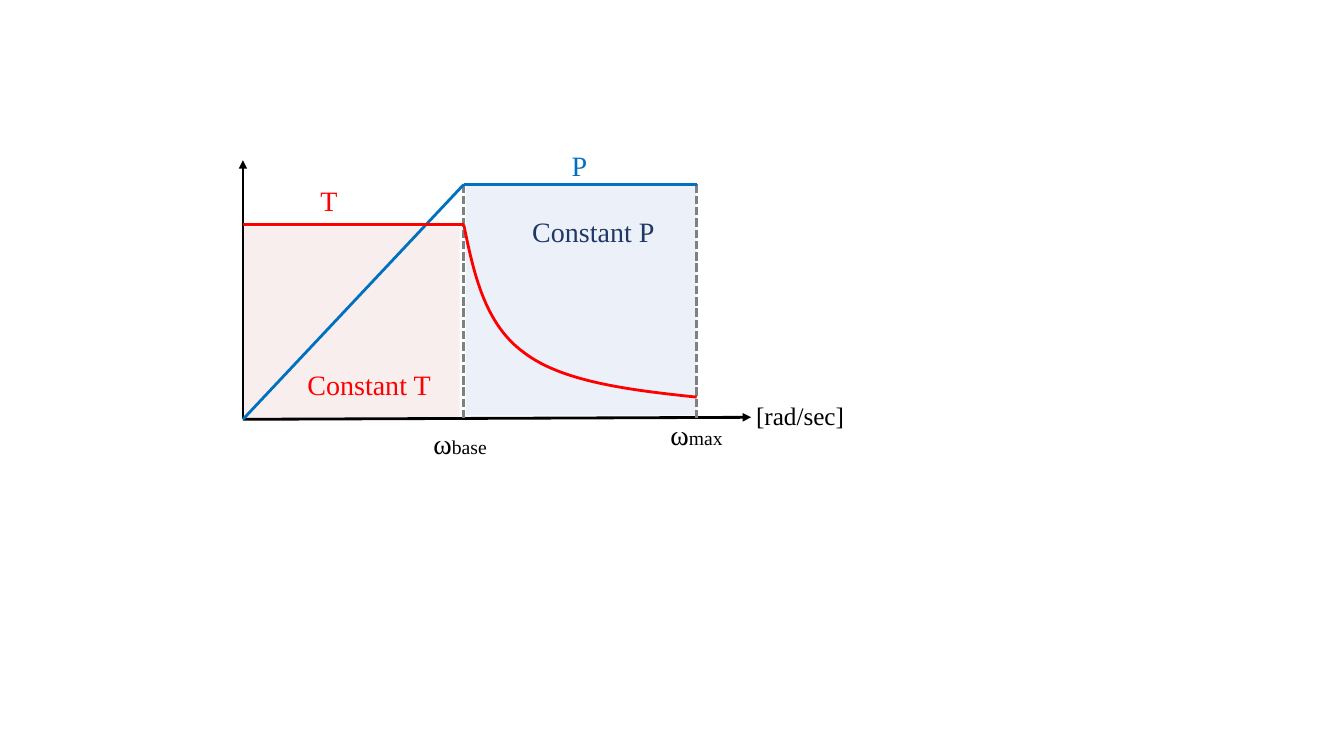
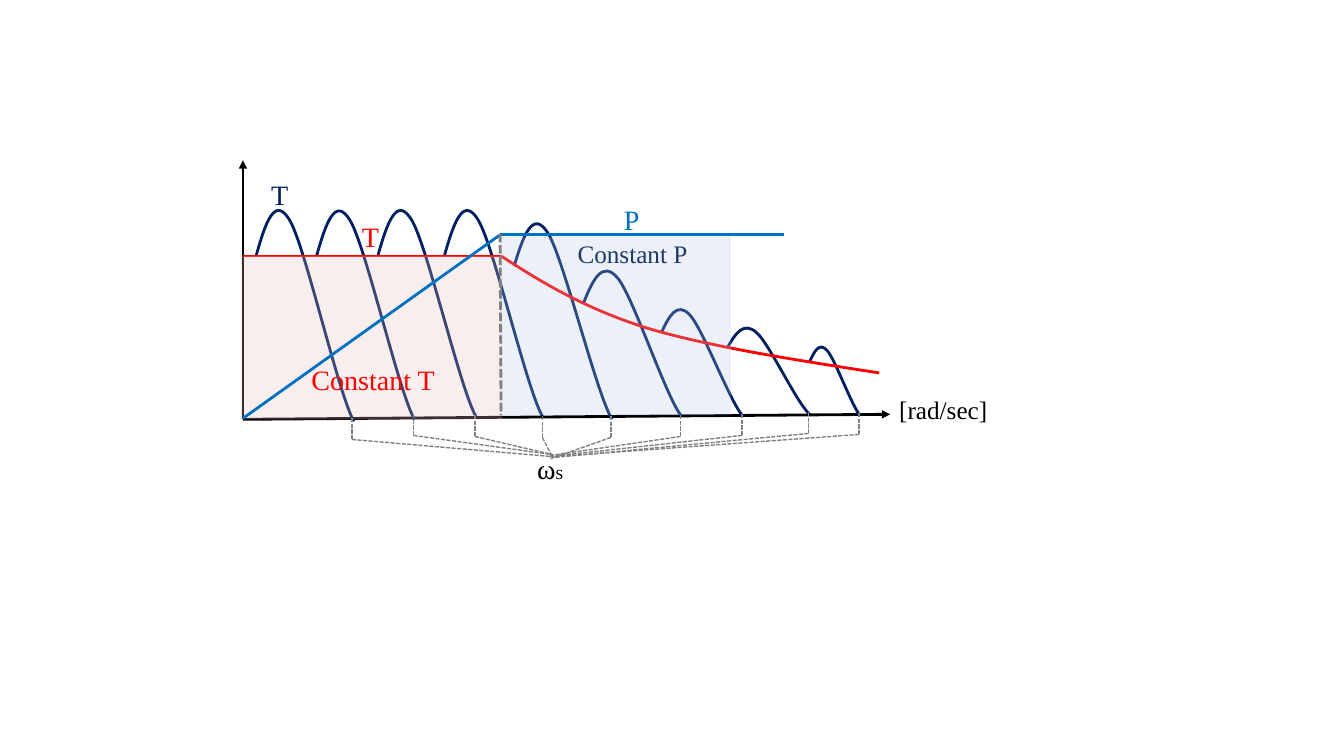
from lxml import etree
from pptx import Presentation
from pptx import util as u
from pptx.dml.color import RGBColor
from pptx.enum import dml, shapes, text
from pptx.oxml.ns import qn

COLOURS = {
    "axis": "000000", "torque": "FF0000", "power": "0070C0", "hump": "002060",
    "guide": "808080", "power_label": "203864",
    "power_zone": "B4C7E7", "torque_zone": "E3BCB9",
}
FONT = "Times New Roman"
ZONE_OPACITY = 25
DROP = 0.21

ORIGIN = (2.41, 4.16)
AXIS_TOP = (2.41, 1.59)

FIELD_ZONES = [((4.62, 1.83, 2.29, 2.29), "power_zone"),
               ((2.41, 2.25, 2.15, 1.9), "torque_zone")]
FIELD_LINES = [((4.6, 1.83), (4.6, 4.16), "guide", True),
               ((6.91, 1.83), (6.91, 4.16), "guide", True),
               ((4.6, 1.83), ORIGIN, "power", False),
               ((4.6, 1.83), (6.91, 1.83), "power", False),
               ((2.41, 2.23), (4.6, 2.23), "torque", False)]
FIELD_TORQUE = [(4.6, 2.23), (4.7, 2.72), (4.81, 3.22), (5.2, 3.5),
                (5.58, 3.79), (6.25, 3.87), (6.91, 3.94)]
FIELD_LABELS = [
    ("ω", (4.2, 4.18, 0.99), {"small": "base"}),
    ("ω", (6.55, 4.09, 0.99), {"small": "max"}),
    ("[rad/sec]", (7.4, 3.92, 1.19), {"size": 18}),
    ("T", (3.08, 1.77, 0.99), {"colour": "torque"}),
    ("P", (5.57, 1.42, 0.99), {"colour": "power"}),
    ("Constant T", (2.95, 3.6, 1.48), {"colour": "torque"}),
    ("Constant P", (5.18, 2.08, 1.48), {"colour": "power_label"}),
]

HUMP_PROFILE = [(0, 0), (0.09, -0.19), (0.19, -0.38), (0.35, -0.21),
                (0.51, -0.04), (0.84, 0.83), (1, 1)]
HUMPS = [
    ((2.54, 2.54), (3.51, 4.18)), ((3.14, 2.54), (4.11, 4.16)),
    ((3.75, 2.53), (4.72, 4.13)), ((4.41, 2.53), (5.38, 4.13)),
    ((5.1, 2.64), (6.07, 4.16)), ((5.79, 3), (6.76, 4.13)),
    ((6.56, 3.3), (7.37, 4.13)), ((7.22, 3.44), (8.03, 4.11)),
    ((8.03, 3.59), (8.53, 4.12)),
]
SPEED_TORQUE = [(4.97, 2.54), (5.37, 2.8), (5.78, 3.05), (6.4, 3.25),
                (7.03, 3.44), (7.88, 3.57), (8.72, 3.7)]
SYNC_DROPS = [
    ((3.49, 4.15), (5.48, 4.53)), ((4.1, 4.11), (5.48, 4.51)),
    ((4.71, 4.12), (5.48, 4.51)), ((5.38, 4.13), (5.48, 4.54)),
    ((6.06, 4.13), (5.46, 4.55)), ((6.75, 4.12), (5.45, 4.52)),
    ((7.36, 4.11), (5.44, 4.53)), ((8.02, 4.09), (5.48, 4.54)),
    ((8.52, 4.1), (5.49, 4.53)),
]
SPEED_LABELS = [
    ("T", (3.49, 2.13, 0.99), {"colour": "torque"}),
    ("P", (6.09, 1.96, 0.99), {"colour": "power"}),
    ("T", (2.59, 1.71, 0.99), {"colour": "hump"}),
]


def rgb(name):
    return RGBColor.from_string(COLOURS[name])


def add_label(slide, words, place, size=20, colour="axis", small="", wrap=True):
    left, top, width = place
    height = 0.44 if size == 20 else 0.4
    box = slide.shapes.add_textbox(*map(u.Inches, (left, top, width, height)))
    frame = box.text_frame
    frame.word_wrap = wrap
    frame.auto_size = text.MSO_AUTO_SIZE.SHAPE_TO_FIT_TEXT
    for part, points in ((words, size), (small, 14)):
        if part:
            run = frame.paragraphs[0].add_run()
            run.text = part
            run.font.name = FONT
            run.font.size = u.Pt(points)
            run.font.color.rgb = rgb(colour)


def add_line(slide, start, end, colour, dashed=False, arrow=False, width=2):
    line = slide.shapes.add_connector(
        shapes.MSO_CONNECTOR.STRAIGHT, *map(u.Inches, (*start, *end)))
    line.line.color.rgb = rgb(colour)
    line.line.width = u.Pt(width)
    if dashed:
        line.line.dash_style = dml.MSO_LINE.SQUARE_DOT
    properties = line._element.spPr
    if arrow:
        etree.SubElement(properties.find(qn("a:ln")), qn("a:tailEnd"), type="triangle")
    etree.SubElement(properties, qn("a:effectLst"))


def add_zone(slide, place, colour):
    zone = slide.shapes.add_shape(
        shapes.MSO_SHAPE.RECTANGLE, *map(u.Inches, place))
    zone.shadow.inherit = False
    zone.line.fill.background()
    zone.fill.solid()
    zone.fill.fore_color.rgb = rgb(colour)
    tint = zone._element.spPr.find(qn("a:solidFill"))[0]
    etree.SubElement(tint, qn("a:alpha"), val=str(ZONE_OPACITY * 1000))


def add_curve(slide, points, colour):
    start, *rest = [(u.Inches(x), u.Inches(y)) for x, y in points]
    builder = slide.shapes.build_freeform(*start)
    builder.add_line_segments(rest, close=False)
    curve = builder.convert_to_shape()
    curve.shadow.inherit = False
    curve.fill.background()
    curve.line.color.rgb = rgb(colour)
    curve.line.width = u.Pt(2)
    outline = next(curve._element.iter(qn("a:moveTo"))).getparent()
    steps = outline.findall(qn("a:lnTo"))
    for first in range(0, len(steps), 3):
        bend = etree.SubElement(outline, qn("a:cubicBezTo"))
        for step in steps[first:first + 3]:
            bend.append(step[0])
            outline.remove(step)


def add_axes(slide, speed_end):
    for end in (AXIS_TOP, speed_end):
        add_line(slide, ORIGIN, end, "axis", arrow=True)


def build_field_weakening(slide):
    for place, colour in FIELD_ZONES:
        add_zone(slide, place, colour)
    add_axes(slide, (7.45, 4.14))
    for start, end, colour, dashed in FIELD_LINES:
        add_line(slide, start, end, colour, dashed=dashed)
    add_curve(slide, FIELD_TORQUE, "torque")
    for words, place, style in FIELD_LABELS:
        add_label(slide, words, place, **style)


def build_speed_control(slide):
    add_axes(slide, (8.83, 4.11))
    add_label(slide, "[rad/sec]", (8.82, 3.86, 1.19), size=18)
    for (x, y), (end_x, end_y) in HUMPS:
        add_curve(slide, [(x + across * (end_x - x), y + down * (end_y - y))
                          for across, down in HUMP_PROFILE], "hump")
    add_curve(slide, SPEED_TORQUE, "torque")
    add_line(slide, (4.97, 2.54), (2.41, 2.54), "torque")
    add_label(slide, "ω", (5.23, 4.43, 0.99), small="s")
    add_zone(slide, (2.39, 2.54, 2.59, 1.62), "torque_zone")
    add_label(slide, "Constant T", (2.99, 3.55, 1.48), colour="torque")
    for end in ((2.41, 4.15), (7.78, 2.33)):
        add_line(slide, (4.96, 2.33), end, "power")
    add_zone(slide, (4.96, 2.35, 2.29, 1.77), "power_zone")
    add_label(slide, "Constant P", (5.63, 2.32, 1.3), size=18,
              colour="power_label", wrap=False)
    for words, place, style in SPEED_LABELS:
        add_label(slide, words, place, **style)
    add_line(slide, (4.96, 2.32), (4.97, 4.12), "guide", dashed=True)
    for (x, y), hub in SYNC_DROPS:
        elbow = (x, y + DROP)
        add_line(slide, (x, y), elbow, "guide", dashed=True, width=1)
        add_line(slide, elbow, hub, "guide", dashed=True, width=1)


def main():
    deck = Presentation()
    deck.slide_width = u.Inches(13.33)
    deck.slide_height = u.Inches(7.5)
    for build in (build_field_weakening, build_speed_control):
        build(deck.slides.add_slide(deck.slide_layouts[6]))
    deck.save("out.pptx")


if __name__ == "__main__":
    main()
